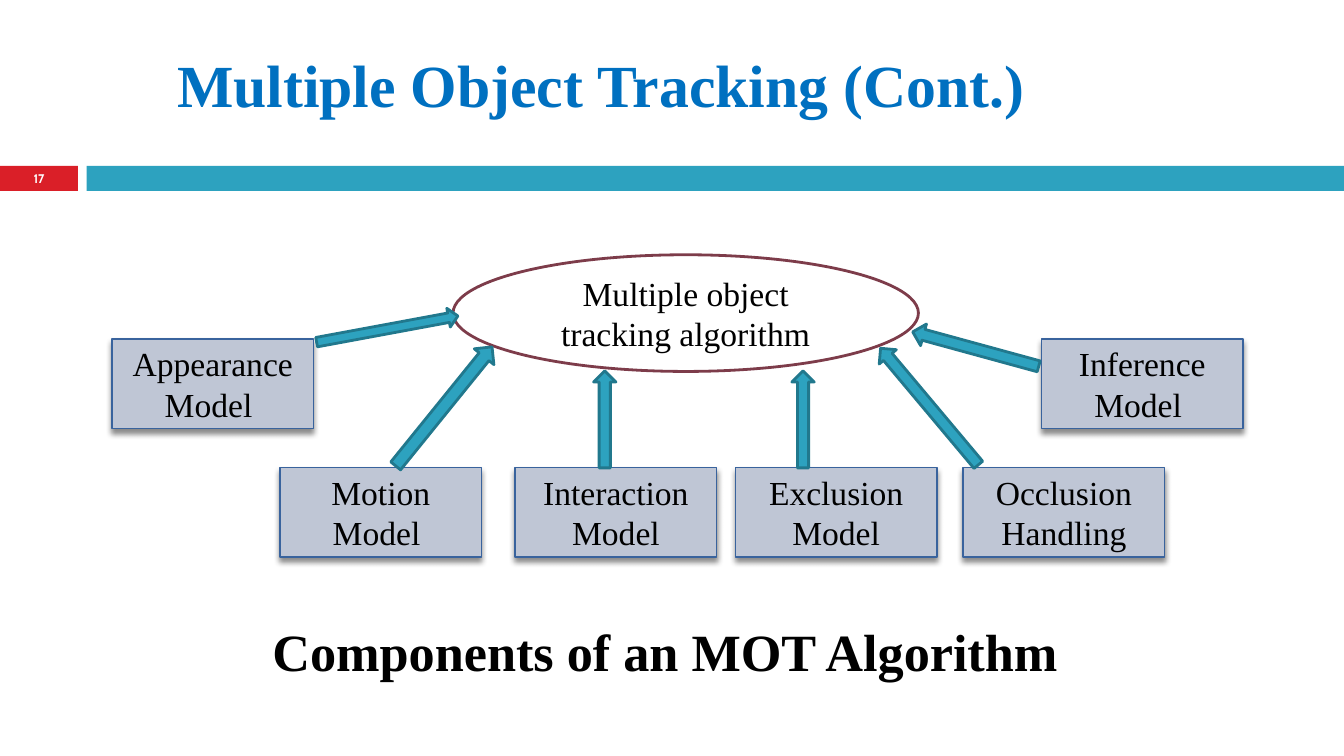
"""Build the slide on the components of a multiple object tracking algorithm."""
from typing import NamedTuple

from lxml.etree import SubElement
from pptx import Presentation
from pptx.dml.color import RGBColor
from pptx.enum.shapes import MSO_SHAPE as Preset
from pptx.enum.text import MSO_ANCHOR as Anchor, PP_ALIGN as Align
from pptx.oxml.ns import qn
from pptx.shapes.autoshape import Shape
from pptx.slide import Slide
from pptx.util import Pt

SERIF = "Times New Roman"
BLACK, WHITE, TEAL, RED = "000000", "FFFFFF", "2DA2BF", "DA1F28"
BAND_TOP, BAND_HEIGHT = 88.9, 13.4
MODEL_WIDTH, MODEL_HEIGHT = 108, 48
UPPER_ROW, LOWER_ROW = 181.5, 250.5


class Area(NamedTuple):
    left: float
    top: float
    width: float
    height: float


class Model(NamedTuple):
    label: str
    left: float
    top: float


class Arrow(NamedTuple):
    preset: Preset
    area: Area
    rotation: float = 0


class Caption(NamedTuple):
    text: str
    area: Area
    size: float
    color: str
    align: Align = Align.CENTER
    anchor: Anchor = Anchor.TOP
    font: str = SERIF


MODELS = [
    Model("Appearance Model ", 60, UPPER_ROW),
    Model("Motion Model ", 150, LOWER_ROW),
    Model("Interaction Model", 276, LOWER_ROW),
    Model("Occlusion Handling", 516, LOWER_ROW),
    Model("Inference Model ", 558, UPPER_ROW),
    Model("Exclusion Model", 394, LOWER_ROW),
]
ARROWS = [
    Arrow(Preset.UP_ARROW, Area(318, 198.7, 12, 52)),
    Arrow(Preset.UP_ARROW, Area(424.2, 198.7, 12, 52)),
    Arrow(Preset.RIGHT_ARROW, Area(196.8, 211, 82, 13.5), 309),
    Arrow(Preset.RIGHT_ARROW, Area(169, 171.2, 77, 10.2), 349.5),
    Arrow(Preset.RIGHT_ARROW, Area(487.7, 181, 70, 12), 195.3),
    Arrow(Preset.RIGHT_ARROW, Area(457.2, 211.8, 81.5, 12), 230),
]
CAPTIONS = [
    Caption("17", Area(0, 88.6, 41.8, 14.4), 6.7, WHITE,
            anchor=Anchor.MIDDLE, font="Cabin"),
    Caption("Components of an MOT Algorithm ", Area(113.8, 328.3, 491.8, 41), 28, BLACK),
    Caption("Multiple Object Tracking (Cont.)", Area(87.8, 22.3, 498.2, 46), 32,
            "0070C0", Align.LEFT),
]


def rgb(color: str) -> RGBColor:
    return RGBColor.from_string(color)


def write(shape: Shape, text: str, size: float, color: str = BLACK, bold: bool = False,
          align: Align = Align.CENTER, anchor: Anchor = Anchor.MIDDLE,
          font: str = SERIF) -> None:
    frame = shape.text_frame
    frame.text = text
    frame.word_wrap = True
    frame.vertical_anchor = anchor
    paragraph = frame.paragraphs[0]
    paragraph.alignment = align
    face = paragraph.runs[0].font
    face.name, face.size, face.bold = font, Pt(size), bold
    face.color.rgb = rgb(color)


def draw_shape(slide: Slide, preset: Preset, area: Area, fill: str,
               line: str = "", weight: float = 1.5) -> Shape:
    shape = slide.shapes.add_shape(preset, *map(Pt, area))
    shape.shadow.inherit = False
    shape.fill.solid()
    shape.fill.fore_color.rgb = rgb(fill)
    if line:
        shape.line.color.rgb = rgb(line)
        shape.line.width = Pt(weight)
    else:
        shape.line.fill.background()
    return shape


def cast_shadow(shape: Shape) -> None:
    effects = shape._element.spPr.find(qn("a:effectLst"))
    shadow = SubElement(effects, qn("a:outerShdw"), blurRad=str(Pt(3)),
                        dist=str(Pt(2.4)), dir="5400000", rotWithShape="0")
    tint = SubElement(shadow, qn("a:srgbClr"), val=BLACK)
    SubElement(tint, qn("a:alpha"), val="45000")


def draw_model(slide: Slide, model: Model) -> None:
    area = Area(model.left, model.top, MODEL_WIDTH, MODEL_HEIGHT)
    box = draw_shape(slide, Preset.RECTANGLE, area, "BFC6D5", "39639D", 0.79)
    cast_shadow(box)
    write(box, model.label, 18)


def draw_arrow(slide: Slide, arrow: Arrow) -> None:
    shape = draw_shape(slide, arrow.preset, arrow.area, TEAL, "21788D")
    shape.rotation = arrow.rotation


def draw_caption(slide: Slide, caption: Caption) -> None:
    box = slide.shapes.add_textbox(*map(Pt, caption.area))
    write(box, caption.text, caption.size, caption.color, True,
          caption.align, caption.anchor, caption.font)


def main() -> None:
    deck = Presentation()
    deck.slide_width, deck.slide_height = Pt(720), Pt(405)
    slide = deck.slides.add_slide(deck.slide_layouts[6])
    draw_shape(slide, Preset.RECTANGLE, Area(0, BAND_TOP, 41.8, BAND_HEIGHT), RED)
    draw_shape(slide, Preset.RECTANGLE, Area(46.5, BAND_TOP, 673.5, BAND_HEIGHT), TEAL)
    algorithm = draw_shape(slide, Preset.OVAL, Area(242.7, 136.5, 249.3, 62.5),
                           WHITE, "7D3C4A")
    write(algorithm, "Multiple object tracking algorithm", 18)
    for model in MODELS:
        draw_model(slide, model)
    for arrow in ARROWS:
        draw_arrow(slide, arrow)
    for caption in CAPTIONS:
        draw_caption(slide, caption)
    deck.save("out.pptx")


if __name__ == "__main__":
    main()
